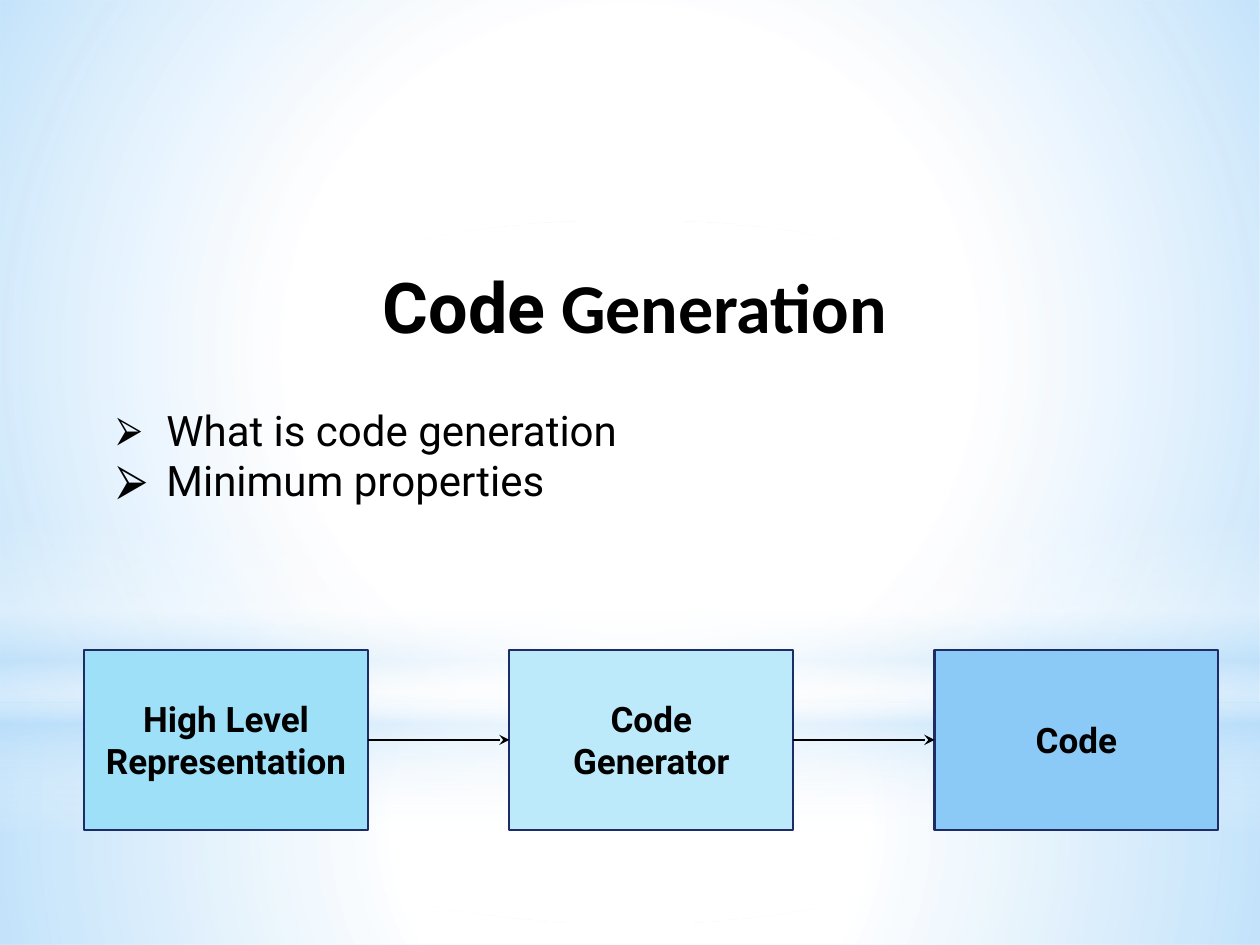
from lxml import etree
from pptx import Presentation
from pptx import util as u
from pptx.dml.color import RGBColor
from pptx.enum import shapes, text
from pptx.oxml import ns, parse_xml

BLACK = RGBColor(0x00, 0x00, 0x00)
NAVY = RGBColor(0x1D, 0x2C, 0x66)
AQUA = RGBColor(0x9E, 0xE0, 0xF7)
PALE_AQUA = RGBColor(0xBD, 0xEA, 0xFA)
SKY = RGBColor(0x8B, 0xC9, 0xF7)
WHITE = RGBColor(0xFF, 0xFF, 0xFF)
MIST = RGBColor(0xB4, 0xDC, 0xFA)

RECT, OVAL = shapes.MSO_SHAPE.RECTANGLE, shapes.MSO_SHAPE.OVAL
RADIAL = '<a:path path="circle"><a:fillToRect l="50000" t="50000" r="50000" b="50000"/></a:path>'
VERTICAL = '<a:lin ang="5400000" scaled="0"/>'

# Preset, top and height in cm, direction, stops of (position %, colour, opacity %)
GLOWS = [
    (RECT, 14.17, 4.88, RADIAL, [(0, WHITE, 91), (37, WHITE, 76), (100, MIST, 79)]),
    (RECT, 0, 14.17, RADIAL, [(0, WHITE, 89), (48, WHITE, 62), (100, MIST, 79)]),
    (RECT, 10.46, 6.35, VERTICAL, [(0, WHITE, 0), (29, WHITE, 30), (45, MIST, 40),
                                   (55, WHITE, 26), (65, MIST, 60), (100, WHITE, 0)]),
    (OVAL, 4.45, 14.17, RADIAL, [(0, WHITE, 100), (56, WHITE, 0), (100, WHITE, 0)]),
]
TITLE = [("Code", "Roboto"), (" Generation", "Calibri")]
TOPICS = [("What is code generation", 83), ("Minimum properties", 100)]  # bullet size in %
STAGES = [("High Level\vRepresentation", AQUA), ("Code\vGenerator", PALE_AQUA), ("Code", SKY)]

PAGE_WIDTH = 25.4
STAGE_LEFT, STAGE_TOP, STAGE_PITCH = 1.7, 13.1, 8.57
STAGE_WIDTH, STAGE_HEIGHT = 5.72, 3.63


def write(para, words, size, font="Roboto", bold=False, align=text.PP_ALIGN.CENTER):
    """Add words to a paragraph; a vertical tab makes a line break."""
    para.alignment = align
    for number, line in enumerate(words.split("\v")):
        if number:
            para.add_line_break()
        span = para.add_run()
        span.text = line
        span.font.name, span.font.size, span.font.bold = font, u.Pt(size), bold
        span.font.color.rgb = BLACK


def place(box, left, top, width, height):
    box.left, box.top, box.width, box.height = map(u.Cm, (left, top, width, height))


def add_glow(page, preset, top, height, direction, stops):
    """Add a full-width shape with a translucent gradient behind the title."""
    glow = page.shapes.add_shape(preset, 0, u.Cm(top), u.Cm(PAGE_WIDTH), u.Cm(height))
    glow.shadow.inherit = False
    glow.line.fill.background()
    marks = "".join(
        f'<a:gs pos="{position * 1000}"><a:srgbClr val="{colour}">'
        f'<a:alpha val="{opacity * 1000}"/></a:srgbClr></a:gs>'
        for position, colour, opacity in stops)
    gradient = parse_xml(f'<a:gradFill {ns.nsdecls("a")} rotWithShape="1">'
                         f'<a:gsLst>{marks}</a:gsLst>{direction}</a:gradFill>')
    glow.element.spPr.find(ns.qn("a:prstGeom")).addnext(gradient)
    page.shapes.title.element.addprevious(glow.element)


def add_bullet(para, percent):
    para.space_before = u.Pt(0)
    props = para._p.get_or_add_pPr()
    props.set("marL", str(u.Cm(1)))
    props.set("indent", str(-u.Cm(1)))
    etree.SubElement(props, ns.qn("a:buSzPct")).set("val", str(percent * 1000))
    etree.SubElement(props, ns.qn("a:buChar")).set("char", "⮚")


def add_stage(page, column, words, colour):
    box = page.shapes.add_shape(RECT, u.Cm(STAGE_LEFT + column * STAGE_PITCH), u.Cm(STAGE_TOP),
                                u.Cm(STAGE_WIDTH), u.Cm(STAGE_HEIGHT))
    box.shadow.inherit = False
    box.fill.solid()
    box.fill.fore_color.rgb = colour
    box.line.color.rgb, box.line.width = NAVY, u.Pt(1.25)
    box.text_frame.vertical_anchor = text.MSO_ANCHOR.MIDDLE
    write(box.text_frame.paragraphs[0], words, 20, bold=True)
    return box


def add_arrow(page, start, end):
    arrow = page.shapes.add_connector(shapes.MSO_CONNECTOR.STRAIGHT, 0, 0, 0, 0)
    arrow.begin_connect(start, 3)
    arrow.end_connect(end, 1)
    arrow.line.color.rgb, arrow.line.width = BLACK, u.Pt(0.75)
    props = arrow.element.spPr
    etree.SubElement(props.find(ns.qn("a:ln")), ns.qn("a:tailEnd")).set("type", "stealth")
    etree.SubElement(props, ns.qn("a:effectLst"))


def main():
    deck = Presentation()
    deck.slide_width, deck.slide_height = u.Cm(PAGE_WIDTH), u.Cm(19.05)
    page = deck.slides.add_slide(deck.slide_layouts[1])
    for glow in GLOWS:
        add_glow(page, *glow)

    title, body = page.shapes.title, page.placeholders[1]
    place(title, 2.1, 5.1, 21.4, 2.1)
    title.text_frame.vertical_anchor = text.MSO_ANCHOR.MIDDLE
    for words, font in TITLE:
        write(title.text_frame.paragraphs[0], words, 40, font=font, bold=True)

    place(body, 2.1, 8.02, 21.4, 2.4)
    frame = body.text_frame
    frame.auto_size = text.MSO_AUTO_SIZE.NONE
    for number, (words, percent) in enumerate(TOPICS):
        para = frame.add_paragraph() if number else frame.paragraphs[0]
        write(para, words, 24, align=text.PP_ALIGN.LEFT)
        add_bullet(para, percent)

    boxes = [add_stage(page, column, *stage) for column, stage in enumerate(STAGES)]
    for start, end in zip(boxes, boxes[1:]):
        add_arrow(page, start, end)
    deck.save("out.pptx")


if __name__ == "__main__":
    main()
